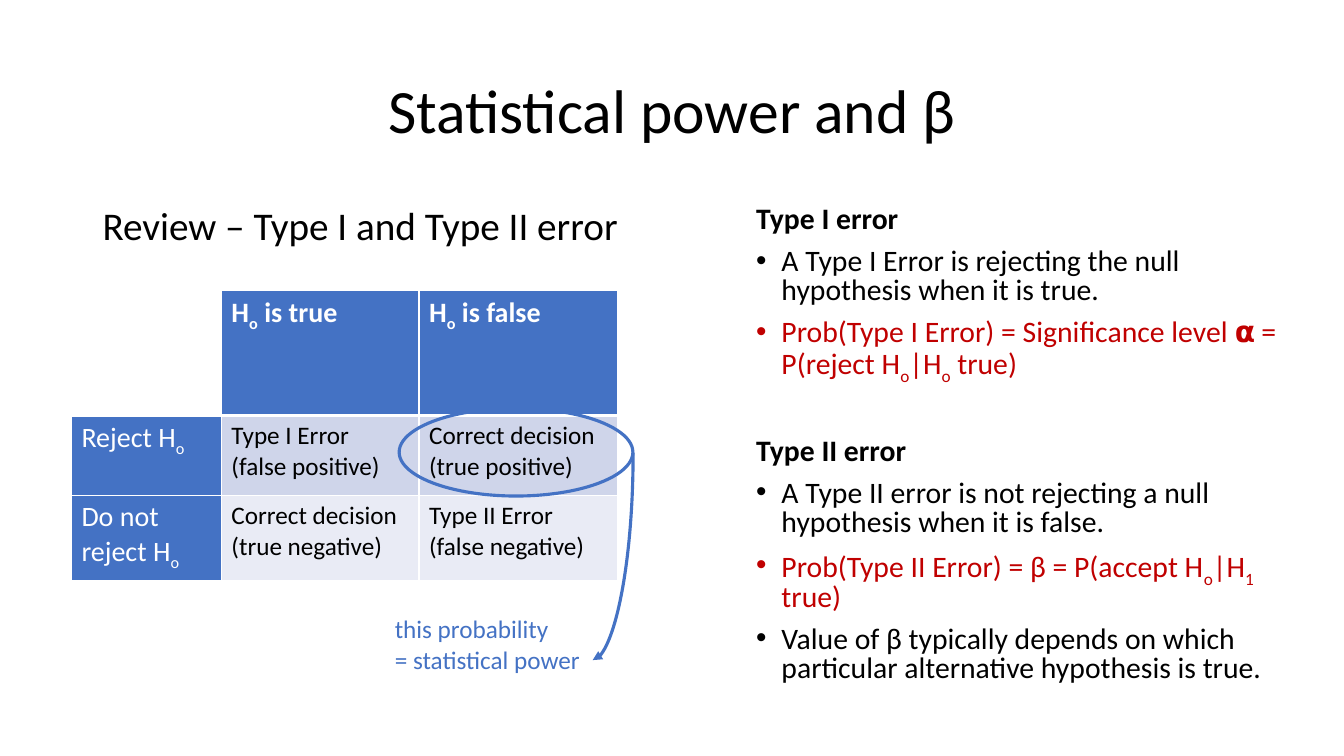
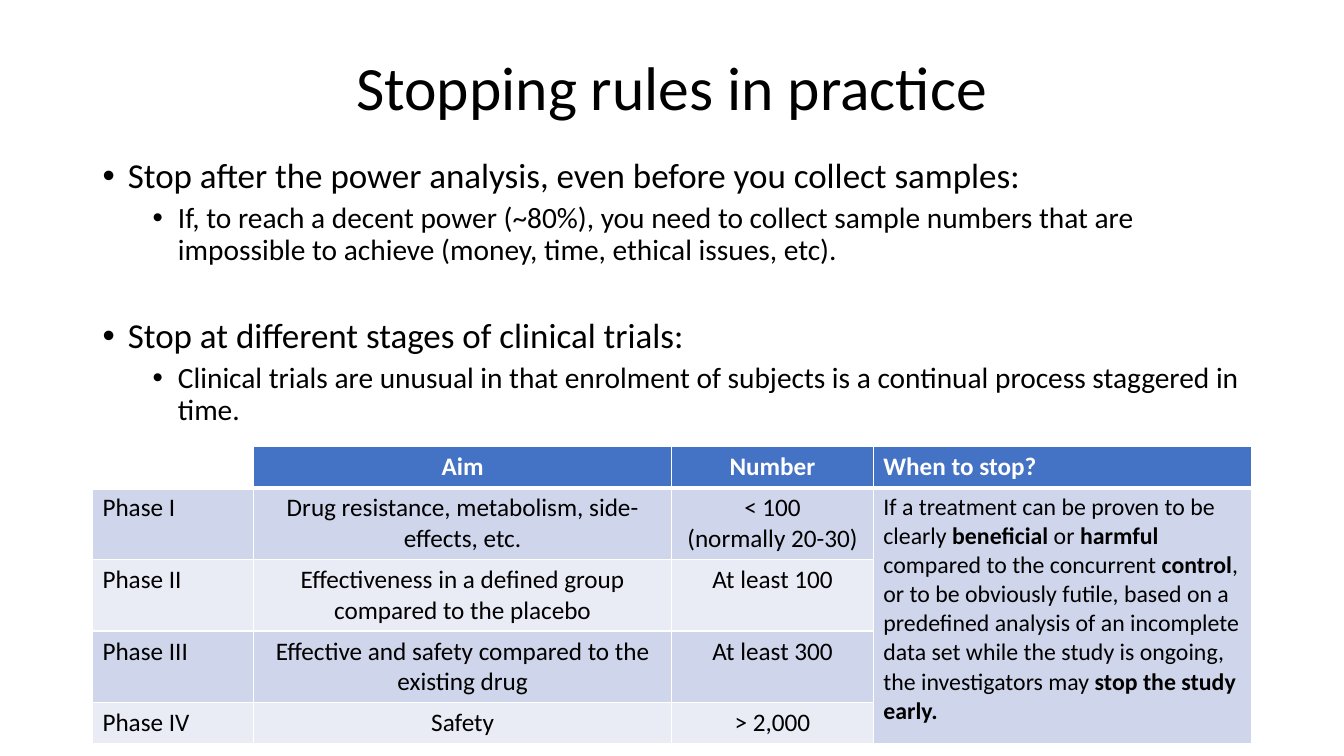
"""Build two slides on statistical power and stopping rules."""
from itertools import product

from lxml import etree
from pptx import Presentation
from pptx.dml.color import RGBColor
from pptx.enum import shapes, text as txt
from pptx.oxml import ns
from pptx.util import Cm, Pt

INK = {"black": "000000", "white": "FFFFFF", "blue": "4472C4",
       "red": "C00000", "dark": "CFD5EA", "light": "E9EBF5"}
FONT = "Calibri"
EDGE, WIDE = 2.33, 29.21
MID = txt.PP_ALIGN.CENTER
LEFT = txt.PP_ALIGN.LEFT


def rgb(name):
    """Return the named colour."""
    return RGBColor.from_string(INK[name])


def sub(node, tag, **attrs):
    """Append a child element and return it."""
    return etree.SubElement(node, ns.qn(tag), attrs)


def put(frame, text, size=18, color="black", bold=False, align=LEFT,
        lead=None, gap=0, dent=0, mark=False, level=0):
    """Add paragraphs, with *bold* and _subscript_ marks."""
    for line in text.split("\n"):
        para = frame.paragraphs[0]
        if para.runs:
            para = frame.add_paragraph()
        para.alignment, para.level = align, level
        para.line_spacing, para.space_before = lead, Pt(gap)
        props = para._p.get_or_add_pPr()
        props.set("marL", str(Cm(dent)))
        props.set("indent", str(-Cm(0.64) if mark else 0))
        if mark:
            sub(props, "a:buFont", typeface="Arial")
            sub(props, "a:buChar", char="•")
        else:
            sub(props, "a:buNone")
        for low, part in enumerate(line.split("_")):
            for strong, bit in enumerate(part.split("*")):
                if not bit:
                    continue
                run = para.add_run()
                run.text = bit
                font = run.font
                font.name, font.size = FONT, Pt(size)
                font.bold = bold or strong % 2 == 1
                font.color.rgb = rgb(color)
                if low % 2:
                    run._r.get_or_add_rPr().set("baseline", "-25000")


def place(shape, x, y, w, h):
    """Move a placeholder and return its text frame."""
    shape.left, shape.top, shape.width, shape.height = map(Cm, (x, y, w, h))
    frame = shape.text_frame
    frame.word_wrap, frame.auto_size = True, txt.MSO_AUTO_SIZE.NONE
    return frame


def start(deck, layout, title, top):
    """Add a slide with its title."""
    slide = deck.slides.add_slide(deck.slide_layouts[layout])
    frame = place(slide.shapes.title, EDGE, top, WIDE, 3.68)
    frame.vertical_anchor = txt.MSO_ANCHOR.MIDDLE
    put(frame, title, size=44, align=MID, lead=0.9)
    return slide


def dress(cell, color, top=1, base=1):
    """Give a cell white borders and a fill."""
    props = cell._tc.get_or_add_tcPr()
    for side, width in zip("LRTB", (1, 1, top, base)):
        line = sub(props, "a:ln" + side, w=str(Pt(width)))
        sub(sub(line, "a:solidFill"), "a:srgbClr", val=INK["white"])
    cell.fill.solid()
    cell.fill.fore_color.rgb = rgb(color)


def grid(slide, x, y, cols, rows, cells, head=18, side=False, aligns=None):
    """Add a banded table with a blue header, and a blue side if asked."""
    table = slide.shapes.add_table(
        len(rows), len(cols), Cm(x), Cm(y),
        Cm(sum(cols)), Cm(sum(rows))).table
    for col, width in zip(table.columns, cols):
        col.width = Cm(width)
    for row, height in zip(table.rows, rows):
        row.height = Cm(height)
    for r, c in product(range(len(rows)), range(len(cols))):
        cell, blue = table.cell(r, c), r == 0 or (side and c == 0)
        band = "blue" if blue else "dark" if r % 2 else "light"
        dress(cell, "white" if r == c == 0 else band,
              3 if r == 1 else 1, 1 if r else 3)
        if cells[r][c]:
            put(cell.text_frame, cells[r][c], size=head if blue else 18,
                color="white" if blue else "black", bold=r == 0,
                align=aligns[c] if aligns else LEFT)
    return table


def stroke(shape):
    """Give a shape or connector the blue outline."""
    shape.line.color.rgb = rgb("blue")
    shape.line.width = Pt(2.25)


def ring(slide, *box):
    """Add an empty ellipse."""
    oval = slide.shapes.add_shape(shapes.MSO_SHAPE.OVAL, *map(Cm, box))
    oval.shadow.inherit = False
    oval.fill.background()
    stroke(oval)


def curve(slide, x, y, w, h):
    """Add a curved arrow, turned by a right angle."""
    arc = slide.shapes.add_connector(
        shapes.MSO_CONNECTOR.CURVE, Cm(x), Cm(y), Cm(x + w), Cm(y + h))
    stroke(arc)
    props = arc._element.spPr
    props.find(ns.qn("a:xfrm")).set("rot", "5400000")
    props.find(ns.qn("a:prstGeom")).set("prst", "curvedConnector2")
    sub(props.find(ns.qn("a:ln")), "a:tailEnd", type="triangle")
    sub(props, "a:effectLst")


def power(deck):
    """Build the slide on power and error types."""
    slide = start(deck, 3, "Statistical power and β", 1.02)
    body, notes = [place(slide.placeholders[i], x, 5.08, 13.64, 12.09)
                   for i, x in ((1, EDGE), (2, 18.8))]
    put(body, "Review – Type I and Type II error", size=28, lead=0.9, gap=10)
    base = dict(size=21.2, lead=0.8)
    item = dict(base, gap=10, dent=0.64, mark=True)
    put(notes, "Type I error", bold=True, gap=10, **base)
    put(notes, "A Type I Error is rejecting the null hypothesis "
        "when it is true.", **item)
    put(notes, "Prob(Type I Error) = Significance level 𝝰 "
        "= P(reject H_o_|H_o_ true)", color="red", **item)
    put(notes, "Type II error", bold=True, gap=41, **base)
    put(notes, "A Type II error is not rejecting a null hypothesis "
        "when it is false.", **item)
    put(notes, "Prob(Type II Error) = β = P(accept H_o_|H_1_ true)",
        color="red", **item)
    put(notes, "Value of β typically depends on which particular "
        "alternative hypothesis is true.", **item)
    grid(slide, 1.8, 7.32, (3.78, 4.98, 5), (3.15, 2.01, 2.16), (
        ("", "H_o_ is true", "H_o_ is false"),
        ("Reject H_o_", "Type I Error\n(false positive)",
         "Correct decision\n(true positive)"),
        ("Do not reject H_o_", "Correct decision (true negative)",
         "Type II Error\n(false negative)")), head=20, side=True)
    label = slide.shapes.add_textbox(*map(Cm, (9.7, 15.34, 5.23, 1.8)))
    label.text_frame.word_wrap = True
    put(label.text_frame, "this probability\n= statistical power",
        color="blue")
    ring(slide, 10.06, 10.29, 5.89, 2.21)
    curve(slide, 12.83, 13.51, 5.23, 1.02)


def rules(deck):
    """Build the slide on stopping rules."""
    slide = start(deck, 1, "Stopping rules in practice", 0.43)
    body = place(slide.placeholders[1], EDGE, 3.86, WIDE, 12.09)
    main_item = dict(size=25, lead=0.9, dent=0.64, mark=True)
    item = dict(size=21, lead=0.9, gap=5, dent=1.9, mark=True, level=1)
    put(body, "Stop after the power analysis, even before you collect "
        "samples:", gap=10, **main_item)
    put(body, "If, to reach a decent power (~80%), you need to collect "
        "sample numbers that are impossible to achieve (money, time, "
        "ethical issues, etc).", **item)
    put(body, "Stop at different stages of clinical trials:",
        gap=37, **main_item)
    put(body, "Clinical trials are unusual in that enrolment of subjects "
        "is a continual process staggered in time.", **item)
    table = grid(
        slide, EDGE, 11.25, (4.06, 10.54, 5.08, 9.53),
        (1.04, 1.8, 1.8, 1.8, 1.04), (
            ("", "Aim", "Number", "When to stop?"),
            ("Phase I", "Drug resistance, metabolism, side-effects, etc.",
             "< 100\n(normally 20-30)", ""),
            ("Phase II", "Effectiveness in a defined group compared to "
             "the placebo", "At least 100", ""),
            ("Phase III", "Effective and safety compared to the existing "
             "drug", "At least 300", ""),
            ("Phase IV", "Safety", "> 2,000", "")),
        aligns=(LEFT, MID, MID, LEFT))
    stop = table.cell(1, 3)
    stop.merge(table.cell(4, 3))
    put(stop.text_frame, "If a treatment can be proven to be clearly "
        "*beneficial* or *harmful* compared to the concurrent *control*, "
        "or to be obviously futile, based on a predefined analysis of an "
        "incomplete data set while the study is ongoing, the investigators "
        "may *stop the study early.*", size=17)


def main():
    """Build and save the deck."""
    deck = Presentation()
    deck.slide_width, deck.slide_height = Cm(33.87), Cm(19.05)
    power(deck)
    rules(deck)
    deck.save("out.pptx")


if __name__ == "__main__":
    main()
